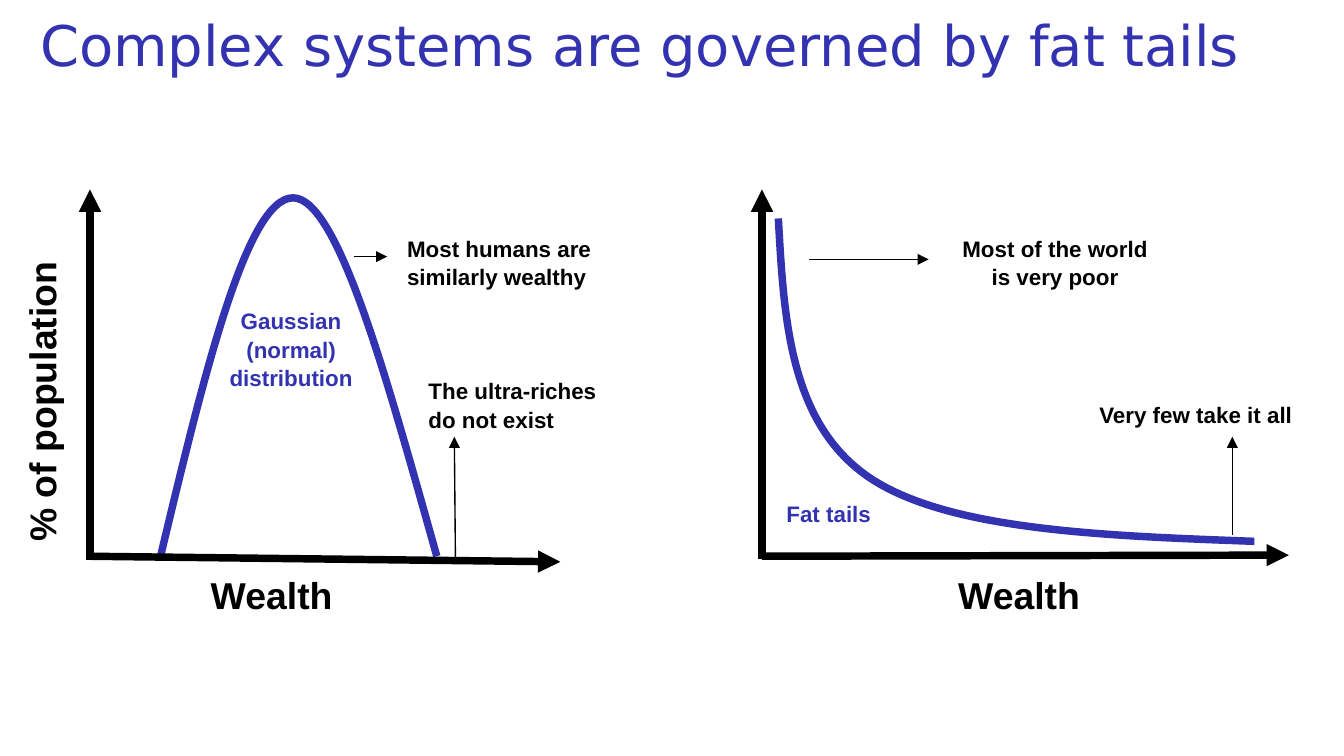
from lxml.etree import SubElement
from pptx import Presentation
from pptx.dml.color import RGBColor
from pptx.enum.shapes import MSO_CONNECTOR
from pptx.enum.text import MSO_ANCHOR, PP_ALIGN
from pptx.oxml.ns import qn
from pptx.util import Pt

BLUE, BLACK = "3333B2", "000000"


def paint(target, color):
    """Give a font, fill or line colour from a hex string."""
    target.rgb = RGBColor.from_string(color)


def write(frame, text, size=12, color=BLACK, bold=True, font="Arial",
          align=PP_ALIGN.LEFT):
    """Fill a frame, one paragraph for each line of text."""
    for i, line in enumerate(text.split("\n")):
        para = frame.paragraphs[0] if i == 0 else frame.add_paragraph()
        para.alignment, para.line_spacing = align, 1.05
        run = para.add_run()
        run.text = line
        run.font.size, run.font.bold, run.font.name = Pt(size), bold, font
        paint(run.font.color, color)


class Page:
    thick, thin = 4, 0.75

    def __init__(self, deck):
        self.shapes = deck.slides.add_slide(deck.slide_layouts[6]).shapes

    def label(self, text, x, y, w, h, turn=0, anchor=MSO_ANCHOR.TOP, **style):
        box = self.shapes.add_textbox(Pt(x), Pt(y), Pt(w), Pt(h))
        box.rotation = turn
        box.text_frame.word_wrap = True
        box.text_frame.vertical_anchor = anchor
        write(box.text_frame, text, **style)

    def arrow(self, x1, y1, x2, y2, width=thin):
        link = self.shapes.add_connector(
            MSO_CONNECTOR.STRAIGHT, Pt(x1), Pt(y1), Pt(x2), Pt(y2))
        link.line.width = Pt(width)
        paint(link.line.fill.fore_color if link.line.fill.type else
              link.line.color, BLACK)
        SubElement(link.line._get_or_add_ln(), qn("a:tailEnd"), type="triangle")
        SubElement(link._element.spPr, qn("a:effectLst"))

    def curve(self, start, *points):
        """Draw cubic curves; each three points are two handles and an end."""
        pen = self.shapes.build_freeform(*start, scale=Pt(1))
        pen.add_line_segments(points, close=False)
        shape = pen.convert_to_shape()
        route = shape._element.find(".//" + qn("a:path"))
        steps = route.findall(qn("a:lnTo"))
        for i in range(0, len(steps), 3):
            cubic = SubElement(route, qn("a:cubicBezTo"))
            for step in steps[i:i + 3]:
                cubic.append(step[0])
                route.remove(step)
        shape.shadow.inherit = False
        shape.fill.background()
        shape.line.width = Pt(self.thick)
        paint(shape.line.color, BLUE)


def main():
    deck = Presentation()
    deck.slide_width, deck.slide_height = Pt(720), Pt(405)
    page = Page(deck)
    mid = PP_ALIGN.CENTER

    # Title
    page.label("Complex systems are governed by fat tails", 14.4, 0, 687.6, 45,
               anchor=MSO_ANCHOR.MIDDLE, size=30, color=BLUE, bold=False,
               font="DejaVu Sans")

    # Curves
    page.curve((86.4, 298), (109.4, 202.3), (132.5, 106.5), (157, 106.5),
               (181.4, 106.5), (207.4, 202.3), (233.8, 298))
    page.curve((417, 116.6), (420.5, 171.4), (423.4, 226.8), (465.8, 255.6),
               (508.3, 284.4), (590.4, 287.3), (672.5, 290.2))

    # Axes
    for ends in ((46.1, 298, 300.2, 301), (48.2, 298, 48.2, 101.5),
                 (408.2, 299.5, 408.2, 101.5), (408.2, 298, 690.5, 297.4)):
        page.arrow(*ends, width=page.thick)
    for x in (105.8, 506.2):
        page.label("Wealth", x, 302, 118, 31.7, size=20)
    page.label("% of population", -64.5, 196, 171.4, 31.4, turn=270, size=20)

    # Pointers
    for ends in ((189.4, 137.5, 207.4, 137.5), (244, 299.5, 243.4, 234),
                 (433.4, 139, 497.5, 139), (660.2, 286.6, 660.2, 234)):
        page.arrow(*ends)

    # Notes
    page.label("Most humans are\nsimilarly wealthy", 211, 121.7, 125.3, 36)
    page.label("The ultra-riches do not exist", 222.5, 198, 115.2, 36)
    page.label("Most of the world\nis very poor", 499, 121.7, 132.5, 36,
               align=mid)
    page.label("Very few take it all", 581.8, 210.5, 121, 22)

    # Names of the curves
    page.label("Gaussian\n(normal)\ndistribution", 82.5, 160.5, 147, 51,
               color=BLUE, align=mid)
    page.label("Fat tails", 370.5, 263.5, 147, 21.6, color=BLUE, align=mid)

    deck.save("out.pptx")


if __name__ == "__main__":
    main()
